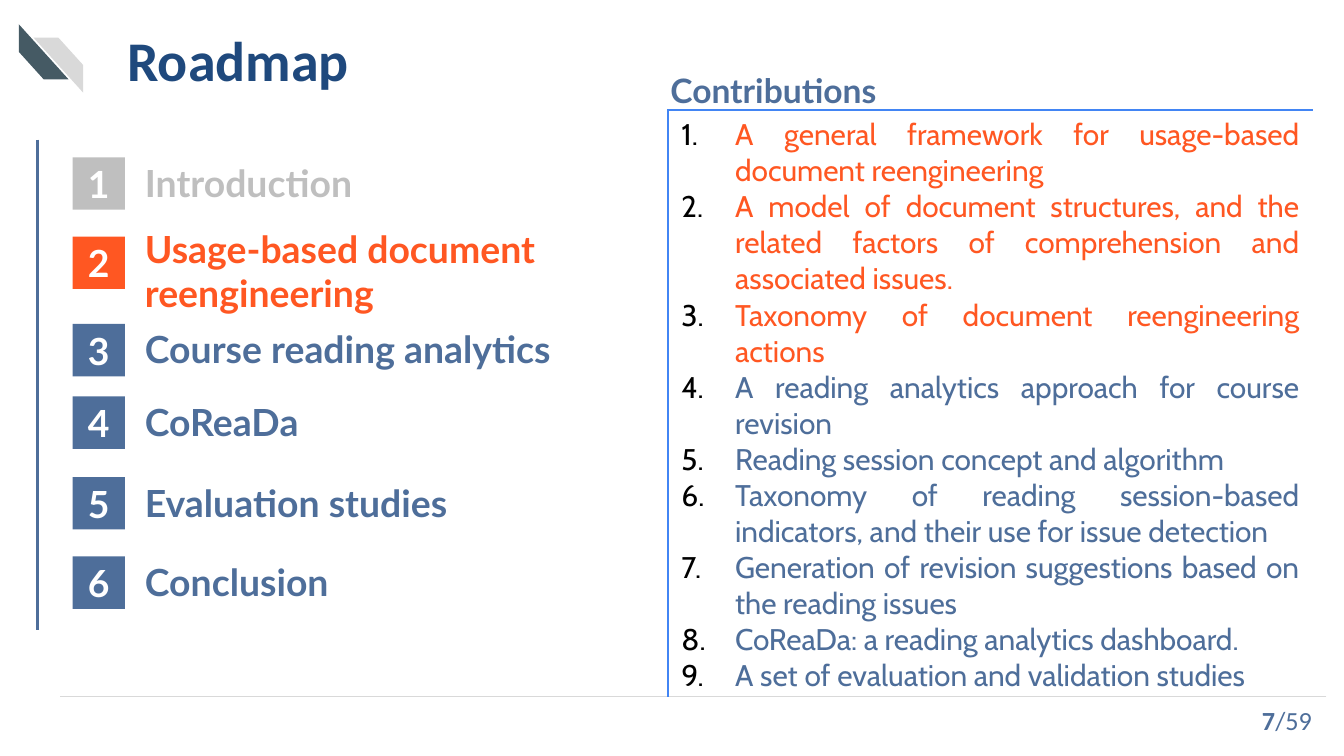
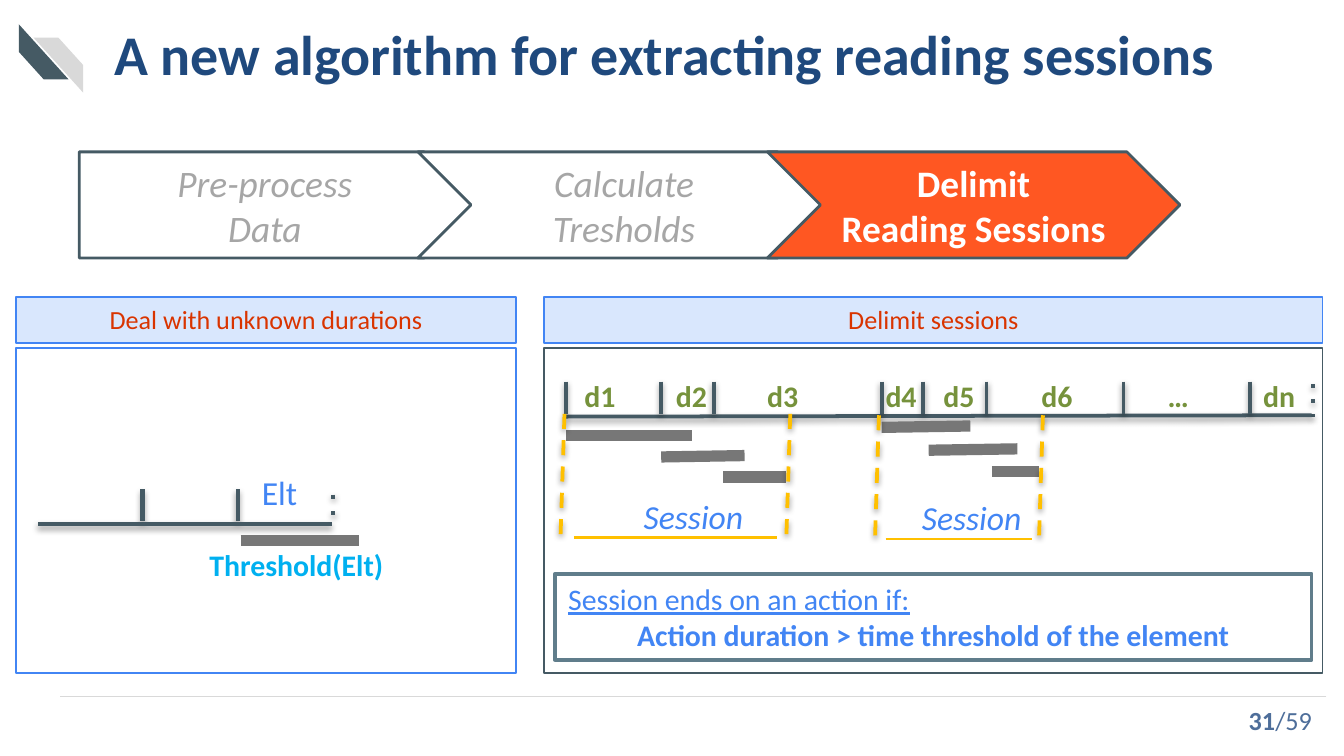
import lxml.etree
import pptx
import pptx.dml.color
import pptx.enum.shapes
import pptx.enum.text
import pptx.oxml.ns
import pptx.util

NAVY, STEEL, SLATE = "1F497D", "4E6E9A", "455A64"
ORANGE, BLUE, PALE_BLUE = "FF5722", "4285F4", "D9E7FD"
RED, GREEN, CYAN, YELLOW = "D93400", "76923C", "00B0F0", "FFC000"
WHITE, LIGHT, SILVER, GREY, DARK_GREY = "FFFFFF", "D9D9D9", "BFBFBF", "A6A6A6", "777777"

hex_color = pptx.dml.color.RGBColor.from_string
qualified = pptx.oxml.ns.qn
SHAPE = pptx.enum.shapes.MSO_SHAPE
ALIGN = pptx.enum.text.PP_ALIGN
ANCHOR = pptx.enum.text.MSO_ANCHOR

presentation = pptx.Presentation()
presentation.slide_width = pptx.util.Inches(10)
presentation.slide_height = pptx.util.Inches(5.625)
column = presentation.slide_width / 10  # all lengths count square grid units


def place(slide, text, box, kind=None, fill=None, line=None, width=1, size=16,
          color=WHITE, font="Calibri", bold=None, italic=None, align=ALIGN.LEFT,
          anchor=ANCHOR.TOP, inset=(0.1, 0.05), wrap=True):
    """Add text at box (left, top, width, height), in a shape when kind is given."""
    frame = [round(length * column) for length in box]
    if kind is None:
        shape = slide.shapes.add_textbox(*frame)
    else:
        shape = slide.shapes.add_shape(kind, *frame)
        shape.shadow.inherit = False
        shape.fill.solid()
        shape.fill.fore_color.rgb = hex_color(fill)
        if line:
            shape.line.color.rgb = hex_color(line)
            shape.line.width = pptx.util.Pt(width)
        else:
            shape.line.fill.background()
    text_frame = shape.text_frame
    text_frame.word_wrap = wrap
    text_frame.vertical_anchor = anchor
    text_frame.margin_left = text_frame.margin_right = round(inset[0] * column)
    text_frame.margin_top = text_frame.margin_bottom = round(inset[1] * column)
    text_frame.text = text
    for paragraph in text_frame.paragraphs:
        paragraph.alignment = align
        for run in paragraph.runs:
            run.font.name, run.font.size = font, pptx.util.Pt(size)
            run.font.bold, run.font.italic = bold, italic
            run.font.color.rgb = hex_color(color)
    return shape


def connect(slide, start, end, color, width, dash="solid", shadow=False):
    connector = slide.shapes.add_connector(
        pptx.enum.shapes.MSO_CONNECTOR.STRAIGHT,
        *[round(length * column) for length in (*start, *end)])
    connector.line.color.rgb = hex_color(color)
    connector.line.width = pptx.util.Pt(width)
    properties = connector._element.spPr
    outline = properties.find(qualified("a:ln"))
    lxml.etree.SubElement(outline, qualified("a:prstDash"), val=dash)
    effects = lxml.etree.SubElement(properties, qualified("a:effectLst"))
    if shadow:
        outer = lxml.etree.SubElement(effects, qualified("a:outerShdw"), blurRad="40000",
                                      dist="20000", dir="5400000", rotWithShape="0")
        black = lxml.etree.SubElement(outer, qualified("a:srgbClr"), val="000000")
        lxml.etree.SubElement(black, qualified("a:alpha"), val="38000")


# Shared corner stripes, footer rule, title and page number
slides = []
for title, title_box, inset, anchor, page in [
    ("Roadmap", (0.85, 0.09, 8.92, 0.63), (0.1, 0.1), ANCHOR.TOP, "7"),
    ("A new algorithm for extracting reading sessions", (0.85, 0.08, 8.9, 0.63),
     (0, 0), ANCHOR.MIDDLE, "31"),
]:
    slide = presentation.slides.add_slide(presentation.slide_layouts[6])
    slides.append(slide)
    dark_stripe = place(slide, "", (0.12, 0.2, 0.41, 0.37), SHAPE.DIAGONAL_STRIPE, SLATE)
    dark_stripe.rotation = 270
    light_stripe = place(slide, "", (0.25, 0.28, 0.37, 0.41), SHAPE.DIAGONAL_STRIPE, LIGHT)
    light_stripe._element.spPr.find(qualified("a:xfrm")).set("flipH", "1")
    connect(slide, (9.87, 5.18), (0.45, 5.18), LIGHT, 0.5)
    place(slide, title, title_box, size=30, color=NAVY, bold=True, inset=inset, anchor=anchor)
    number = place(slide, page, (7.06, 5.21, 2.8, 0.3), size=14, color=STEEL, bold=True,
                   align=ALIGN.RIGHT, anchor=ANCHOR.MIDDLE)
    total = number.text_frame.paragraphs[0].add_run()
    total.text = "/59"
    total.font.name, total.font.size = "Calibri", pptx.util.Pt(14)
    total.font.color.rgb = hex_color(STEEL)
roadmap, algorithm = slides

# Roadmap: numbered chapters
connect(roadmap, (0.28, 1.04), (0.28, 4.69), STEEL, 1.5)
chapters = [
    ("Introduction", SILVER, 1.17, 1.14),
    ("Usage-based document\nreengineering", ORANGE, 1.76, 1.63),
    ("Course reading analytics", STEEL, 2.41, 2.38),
    ("CoReaDa", STEEL, 2.95, 2.92),
    ("Evaluation studies", STEEL, 3.55, 3.52),
    ("Conclusion", STEEL, 4.14, 4.11),
]
for index, (chapter, color, badge_top, label_top) in enumerate(chapters, start=1):
    place(roadmap, chapter, (0.98, label_top, 6.3, 0.39), size=20, color=color,
          font="Lato", bold=True)
    place(roadmap, str(index), (0.54, badge_top, 0.39, 0.39), SHAPE.RECTANGLE, color,
          size=20, font="Lato", bold=True, align=ALIGN.CENTER, anchor=ANCHOR.MIDDLE,
          inset=(0.1, 0.1))

# Roadmap: contributions table
contributions = [
    "A general framework for usage-based document reengineering",
    "A model of document structures, and the related factors of comprehension "
    "and associated issues.",
    "Taxonomy of document reengineering actions",
    "A reading analytics approach for course revision",
    "Reading session concept and algorithm",
    "Taxonomy of reading session-based indicators, and their use for issue detection",
    "Generation of revision suggestions based on the reading issues",
    "CoReaDa: a reading analytics dashboard.",
    "A set of evaluation and validation studies",
]
place(roadmap, "Contributions", (4.89, 0.47, 1.84, 0.4), size=18, color=STEEL,
      font="Lato", bold=True, wrap=False)
table = roadmap.shapes.add_table(
    1, 1, *[round(length * column) for length in (4.97, 0.82, 4.8, 4.1)]).table
table.first_row = table.horz_banding = False
cell = table.cell(0, 0)
cell.fill.background()
cell_properties = cell._tc.get_or_add_tcPr()
for position, (side, color) in enumerate([("L", BLUE), ("R", None), ("T", BLUE), ("B", None)]):
    border = lxml.etree.Element(qualified("a:ln" + side), w="12700")
    if color:
        solid = lxml.etree.SubElement(border, qualified("a:solidFill"))
        lxml.etree.SubElement(solid, qualified("a:srgbClr"), val=color)
    else:
        lxml.etree.SubElement(border, qualified("a:noFill"))
    cell_properties.insert(position, border)

cell.text_frame.text = "\n".join(contributions)
for index, paragraph in enumerate(cell.text_frame.paragraphs):
    paragraph.alignment = ALIGN.JUSTIFY
    properties = paragraph._p.get_or_add_pPr()
    properties.set("marL", str(round(0.4 * column)))
    properties.set("indent", str(round(-0.4 * column)))
    bullet_color = lxml.etree.SubElement(properties, qualified("a:buClr"))
    lxml.etree.SubElement(bullet_color, qualified("a:srgbClr"), val="000000")
    bullet = lxml.etree.SubElement(properties, qualified("a:buAutoNum"), type="arabicPeriod")
    if index >= 4:
        bullet.set("startAt", "5")
    font = paragraph.runs[0].font
    font.name, font.size = "Cabin", pptx.util.Pt(16)
    font.color.rgb = hex_color(ORANGE if index < 3 else STEEL)

# Algorithm: three steps
for text, kind, left, width, fill, color, current in [
    ("Pre-process\nData", SHAPE.PENTAGON, 0.59, 2.96, WHITE, GREY, False),
    ("Calculate\nTresholds", SHAPE.CHEVRON, 3.11, 3.07, WHITE, GREY, False),
    ("Delimit\nReading Sessions", SHAPE.CHEVRON, 5.71, 3.07, ORANGE, WHITE, True),
]:
    place(algorithm, text, (left, 1.13, width, 0.79), kind, fill, SLATE, 1.5, size=20,
          color=color, bold=current, italic=not current, align=ALIGN.CENTER,
          anchor=ANCHOR.MIDDLE)

# Algorithm: two panels
for heading, left, width, outline in [
    ("Deal with unknown durations", 0.12, 3.72, BLUE),
    ("Delimit sessions", 4.05, 5.79, SLATE),
]:
    place(algorithm, "", (left, 2.59, width, 2.42), SHAPE.RECTANGLE, WHITE, outline)
    place(algorithm, heading, (left, 2.21, width, 0.34), SHAPE.RECTANGLE, PALE_BLUE, BLUE,
          size=14, color=RED, align=ALIGN.CENTER)

# Unknown duration of the last element
for x in (1.06, 1.77):
    connect(algorithm, (x, 3.64), (x, 3.88), SLATE, 2.25, shadow=True)
connect(algorithm, (2.47, 3.9), (0.28, 3.9), SLATE, 2.25, shadow=True)
connect(algorithm, (2.48, 3.68), (2.48, 3.92), SLATE, 2.25, "dot", shadow=True)
connect(algorithm, (1.79, 4.02), (2.67, 4.02), DARK_GREY, 6)
place(algorithm, "Elt", (1.85, 3.46, 0.63, 0.4), size=18, color=BLUE)
place(algorithm, "Threshold(Elt)", (1.46, 4.02, 1.6, 0.37), color=CYAN, bold=True)

# Timeline of durations
connect(algorithm, (9.77, 2.86), (9.77, 3.1), SLATE, 2, "dot", shadow=True)
connect(algorithm, (9.76, 3.09), (4.21, 3.1), SLATE, 2, shadow=True)
for x in (4.21, 4.92, 5.31, 6.56, 6.87, 7.34, 8.36, 9.3):
    connect(algorithm, (x, 2.84), (x, 3.08), SLATE, 2, shadow=True)
durations = place(algorithm, "d1\td2\td3\td4\td5\td6\t…\tdn", (4.25, 2.76, 5.91, 0.37),
                  color=GREEN, bold=True)
tabs = lxml.etree.SubElement(durations.text_frame.paragraphs[0]._p.get_or_add_pPr(),
                             qualified("a:tabLst"))
for stop in (0.68, 1.36, 2.24, 2.67, 3.4, 4.34, 5.05):
    lxml.etree.SubElement(tabs, qualified("a:tab"), pos=str(round(stop * column)), algn="l")

# Thresholds under the timeline
for left, right, start_y, end_y in [
    (4.21, 5.15, 3.24, 3.24), (4.92, 5.54, 3.4, 3.39), (5.38, 5.85, 3.55, 3.55),
    (6.56, 7.22, 3.18, 3.17), (6.91, 7.57, 3.35, 3.34), (7.38, 7.73, 3.51, 3.51),
]:
    connect(algorithm, (left, start_y), (right, end_y), DARK_GREY, 6)

# Sessions: dashed limits, baseline and label
for limits, top, baseline, label_left in [
    ((4.2, 5.88), 3.08, (4.27, 5.78), 4.69),
    ((6.54, 7.76), 3.09, (6.59, 7.68), 6.76),
]:
    for x in limits:
        connect(algorithm, (x, top), (x - 0.03, top + 0.94), YELLOW, 2, "dash", shadow=True)
    connect(algorithm, (baseline[0], top + 0.92), (baseline[1], top + 0.92), YELLOW, 1.5)
    place(algorithm, "Session", (label_left, top + 0.56, 0.94, 0.4), size=18, color=BLUE,
          italic=True, align=ALIGN.CENTER)

rule = place(algorithm, "Session ends on an action if:\n"
             "Action duration > time threshold of the element",
             (4.13, 4.27, 5.63, 0.64), SHAPE.RECTANGLE, WHITE, "607D8B", 2, color=BLUE)
condition, consequence = rule.text_frame.paragraphs
condition.runs[0].font.underline = True
consequence.runs[0].font.bold = True
consequence.alignment = ALIGN.CENTER

presentation.save("out.pptx")
